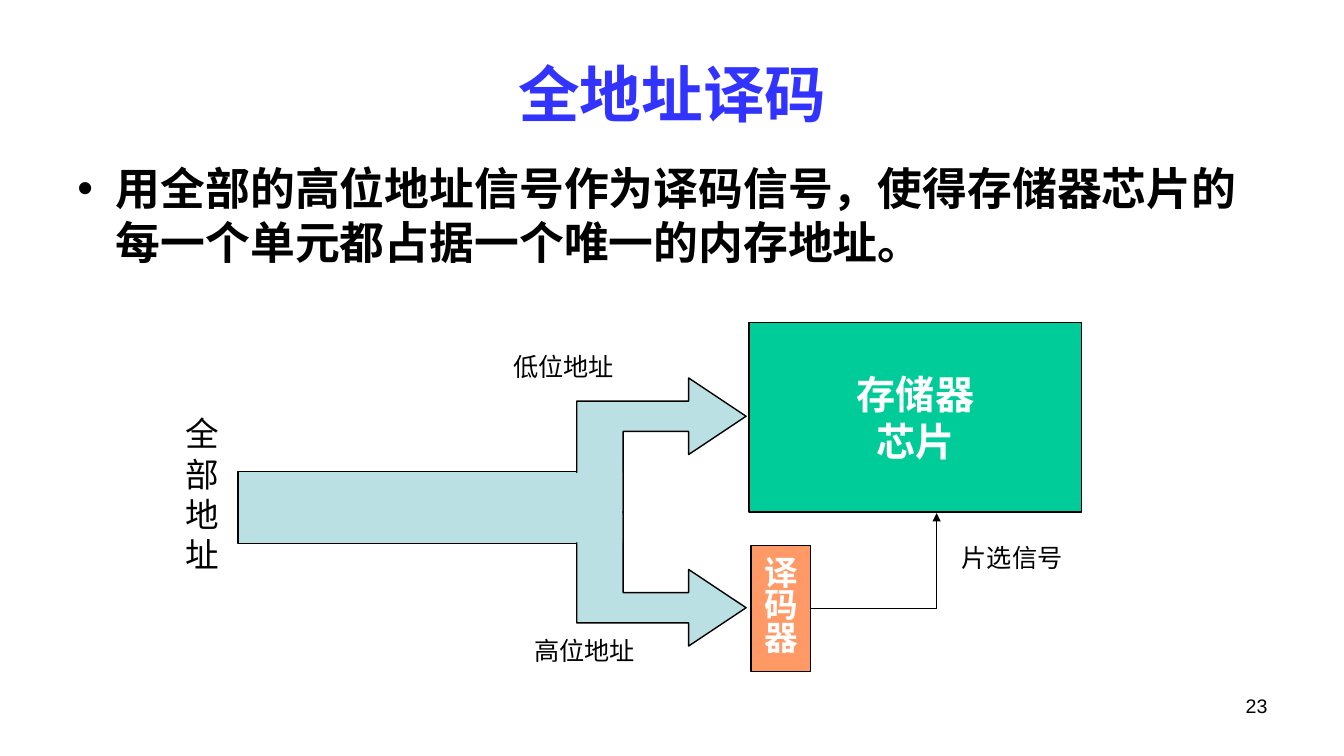
from collections import namedtuple

from lxml.etree import SubElement
from pptx import Presentation
from pptx.dml.color import RGBColor
from pptx.enum.shapes import MSO_CONNECTOR, MSO_SHAPE
from pptx.enum.text import MSO_ANCHOR, PP_ALIGN
from pptx.oxml.ns import qn
from pptx.util import Inches, Pt

CELL = Inches(0.1)
FONT = "Arial"
BLACK, WHITE, BLUE = "000000", "FFFFFF", "3333FF"
BUS, CHIP, DECODER = "BBE0E3", "00CC99", "FF9966"

Box = namedtuple("Box", "column row columns rows")


def color(hex_string):
    return RGBColor.from_string(hex_string)


def cells(*values):
    return [round(value * CELL) for value in values]


def inside(box, column, row, columns, rows):
    return Box(box.column + column, box.row + row, columns, rows)


def write(frame, lines, size, ink=BLACK, bold=False, align=PP_ALIGN.LEFT, spacing=None):
    for index, line in enumerate(lines):
        paragraph = frame.paragraphs[0] if index == 0 else frame.add_paragraph()
        paragraph.alignment = align
        if spacing:
            paragraph.line_spacing = spacing
        run = paragraph.add_run()
        run.text = line
        run.font.name = FONT
        run.font.size = Pt(size)
        run.font.bold = bold
        run.font.color.rgb = color(ink)


def add_text(slide, box, text, size, **style):
    frame = slide.shapes.add_textbox(*cells(*box)).text_frame
    frame.word_wrap = True
    write(frame, [text], size, **style)
    return frame


def paint(shape, fill, outlined=True):
    shape.shadow.inherit = False
    shape.fill.solid()
    shape.fill.fore_color.rgb = color(fill)
    if outlined:
        shape.line.color.rgb = color(BLACK)
        shape.line.width = Pt(1)
    else:
        shape.line.fill.background()


def add_block(slide, box, fill, outlined=True):
    block = slide.shapes.add_shape(MSO_SHAPE.RECTANGLE, *cells(*box))
    paint(block, fill, outlined)
    return block


def add_block_text(block, lines, size, spacing=None):
    frame = block.text_frame
    frame.word_wrap = False
    frame.vertical_anchor = MSO_ANCHOR.MIDDLE
    write(frame, lines, size, WHITE, True, PP_ALIGN.CENTER, spacing)


def add_branch(slide, box, tip_row, side):
    tip, head, inner, outer = 55.6, 49.9, 43.4, 38.8
    half_head, half_shaft, meeting_row = 3.8 * side, 1.5 * side, 18.8
    outline = [
        (tip, tip_row),
        (head, tip_row + half_head),
        (head, tip_row + half_shaft),
        (inner, tip_row + half_shaft),
        (inner, meeting_row),
        (outer, meeting_row),
        (outer, tip_row - half_shaft),
        (head, tip_row - half_shaft),
        (head, tip_row - half_head),
    ]
    points = [cells(box.column + x, box.row + y) for x, y in outline]
    builder = slide.shapes.build_freeform(*points[0], scale=1.0)
    builder.add_line_segments(points[1:], close=True)
    paint(builder.convert_to_shape(), BUS)


def add_wire(slide, box, start, end, arrow=False):
    ends = [cells(box.column + x, box.row + y) for x, y in (start, end)]
    wire = slide.shapes.add_connector(MSO_CONNECTOR.STRAIGHT, *ends[0], *ends[1])
    wire.line.color.rgb = color(BLACK)
    wire.line.width = Pt(1)
    if arrow:
        SubElement(wire.line._get_or_add_ln(), qn("a:tailEnd"), type="triangle")
    SubElement(wire._element.spPr, qn("a:effectLst"))
    return wire


def place_title(slide, box, text):
    title = slide.shapes.title
    title.left, title.top, title.width, title.height = cells(*box)
    title.text_frame.vertical_anchor = MSO_ANCHOR.MIDDLE
    write(title.text_frame, [text], 44, BLUE, True, PP_ALIGN.CENTER)


def place_body(slide, box, text):
    frame = add_text(slide, box, text, 32, bold=True)
    properties = frame.paragraphs[0]._p.get_or_add_pPr()
    properties.set("marL", str(Inches(0.38)))
    properties.set("indent", str(-Inches(0.38)))
    SubElement(properties, qn("a:buFont"), typeface=FONT)
    SubElement(properties, qn("a:buChar"), char="•")


def place_diagram(slide, box):
    add_block(slide, inside(box, 5.2, 14.8, 38.1, 7.1), BUS)
    add_branch(slide, box, 28.3, -1)
    add_branch(slide, box, 9.3, 1)
    add_block(slide, inside(box, 29.4, 14.9, 13.9, 6.9), BUS, outlined=False)

    chip = add_block(slide, inside(box, 55.9, 0, 33, 18.8), CHIP)
    add_block_text(chip, ["存储器", "芯片"], 28)
    decoder = add_block(slide, inside(box, 56.1, 22.1, 5.9, 12.5), DECODER)
    add_block_text(decoder, "译码器", 24, 0.8)

    corner = (74.5, 28.35)
    wire = add_wire(slide, box, (62, 28.35), corner)
    wire.begin_connect(decoder, 3)
    add_wire(slide, box, corner, (74.5, 18.9), arrow=True)

    labels = [("低位地址", 31.5, 2.4), ("高位地址", 33.6, 30.5), ("片选信号", 76, 21.3)]
    for text, column, row in labels:
        add_text(slide, inside(box, column, row, 16.8, 4), text, 18)
    source = add_text(slide, inside(box, 0, 8.5, 4.2, 17.2), "全部地址", 24)
    source.margin_left = 0


def main():
    presentation = Presentation()
    presentation.slide_width = Inches(13.33)
    presentation.slide_height = Inches(7.5)
    slide = presentation.slides.add_slide(presentation.slide_layouts[5])
    slide.background.fill.solid()
    slide.background.fill.fore_color.rgb = color(WHITE)
    place_title(slide, Box(6.7, 3, 120, 12.5), "全地址译码")
    place_body(
        slide,
        Box(6.7, 15.5, 120, 12),
        "用全部的高位地址信号作为译码信号，使得存储器芯片的每一个单元都占据一个唯一的内存地址。",
    )
    place_diagram(slide, Box(18.4, 32, 92.8, 34.8))
    add_text(slide, Box(95.6, 68.3, 31.1, 5.2), "23", 14, align=PP_ALIGN.RIGHT)
    presentation.save("out.pptx")


if __name__ == "__main__":
    main()
